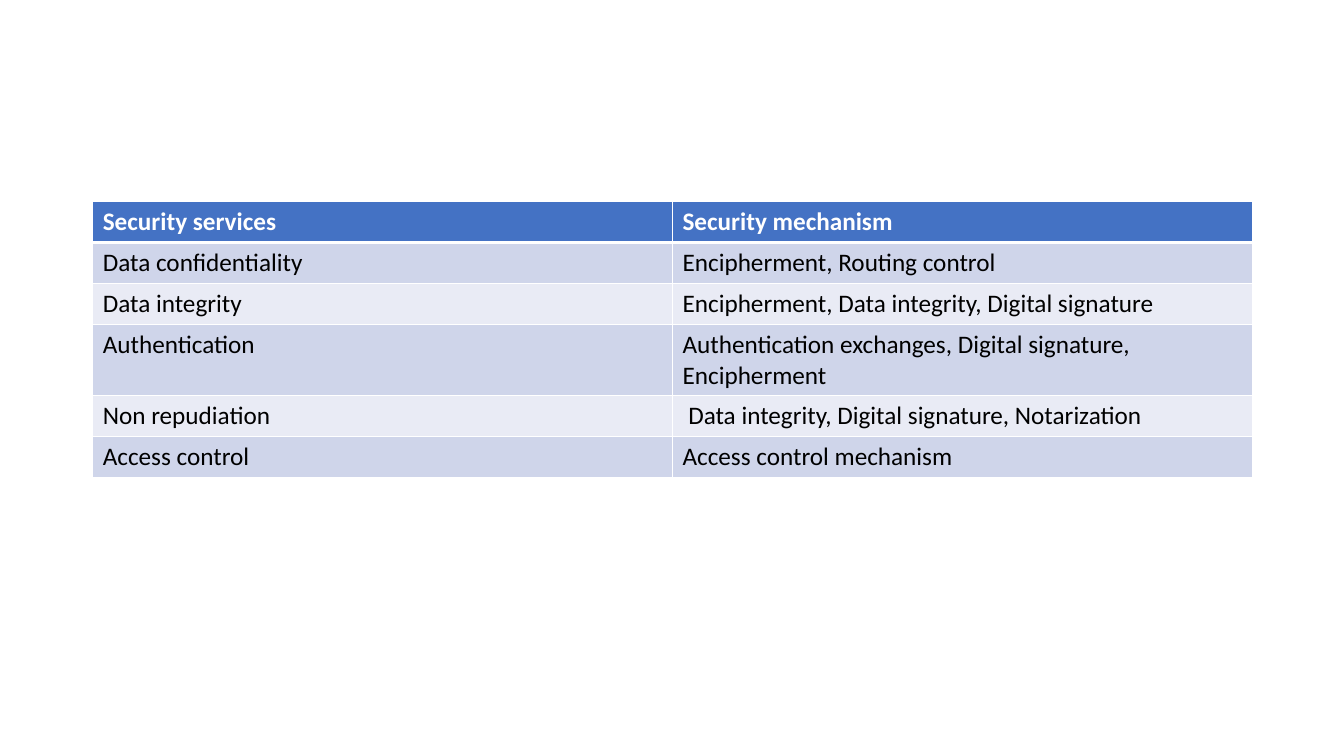
from dataclasses import dataclass
from lxml import etree
from pptx import Presentation
from pptx import util as u
from pptx.dml.color import RGBColor
from pptx.oxml.ns import qn


@dataclass(frozen=True)
class Theme:
    font: str = "Calibri"
    size: int = 18
    head: str = "4472C4"
    bands: tuple = ("CFD5EA", "E9EBF5")
    light: str = "FFFFFF"
    dark: str = "000000"
    thin: int = 1
    thick: int = 3


THEME = Theme()
WIDE, HIGH = u.Inches(13.33), u.Inches(7.5)
LEFT, TOP, SPAN = u.Inches(0.92), u.Inches(2), u.Inches(11.5)
ROW = u.Inches(0.405)

ROWS = [
    ("Security services", "Security mechanism"),
    ("Data confidentiality", "Encipherment, Routing control"),
    ("Data integrity", "Encipherment, Data integrity, Digital signature"),
    ("Authentication",
     "Authentication exchanges, Digital signature, Encipherment"),
    ("Non repudiation", " Data integrity, Digital signature, Notarization"),
    ("Access control", "Access control mechanism"),
]


def edge(cell, side, width):
    props = cell._tc.get_or_add_tcPr()
    line = etree.SubElement(props, qn(f"a:ln{side}"), w=str(u.Pt(width)))
    fill = etree.SubElement(line, qn("a:solidFill"))
    etree.SubElement(fill, qn("a:srgbClr"), val=THEME.light)


def style(cell, row):
    head = row == 0
    widths = {
        "L": THEME.thin,
        "R": THEME.thin,
        "T": THEME.thick if row == 1 else THEME.thin,
        "B": THEME.thick if head else THEME.thin,
    }
    for side, width in widths.items():
        edge(cell, side, width)
    shade = THEME.head if head else THEME.bands[(row - 1) % 2]
    cell.fill.solid()
    cell.fill.fore_color.rgb = RGBColor.from_string(shade)
    font = cell.text_frame.paragraphs[0].font
    font.name, font.size, font.bold = THEME.font, u.Pt(THEME.size), head
    ink = THEME.light if head else THEME.dark
    font.color.rgb = RGBColor.from_string(ink)


def grid(slide, rows):
    count = len(rows)
    frame = slide.shapes.add_table(
        count, len(rows[0]), LEFT, TOP, SPAN, ROW * count)
    for r, texts in enumerate(rows):
        frame.table.rows[r].height = ROW
        for c, words in enumerate(texts):
            cell = frame.table.cell(r, c)
            cell.text = words
            style(cell, r)


def main():
    deck = Presentation()
    deck.slide_width, deck.slide_height = WIDE, HIGH
    slide = deck.slides.add_slide(deck.slide_layouts[6])
    grid(slide, ROWS)
    deck.save("out.pptx")


if __name__ == "__main__":
    main()
